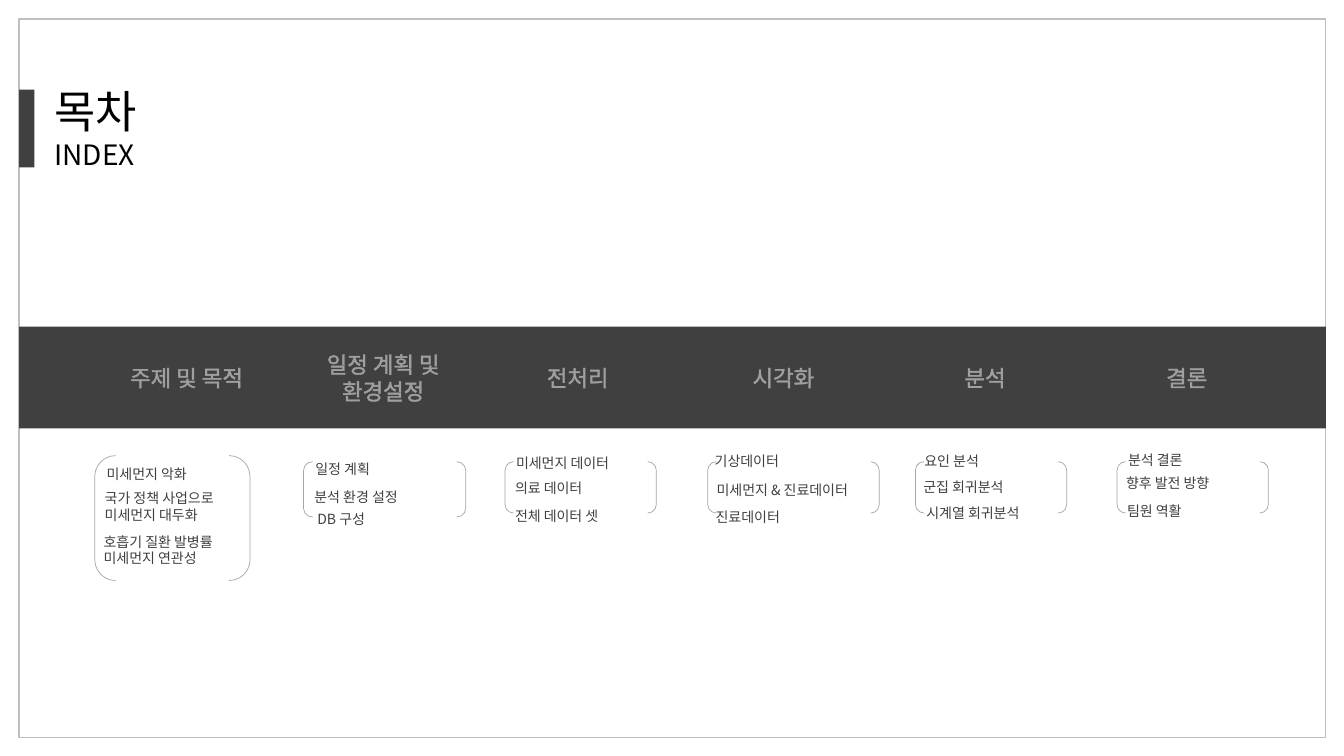
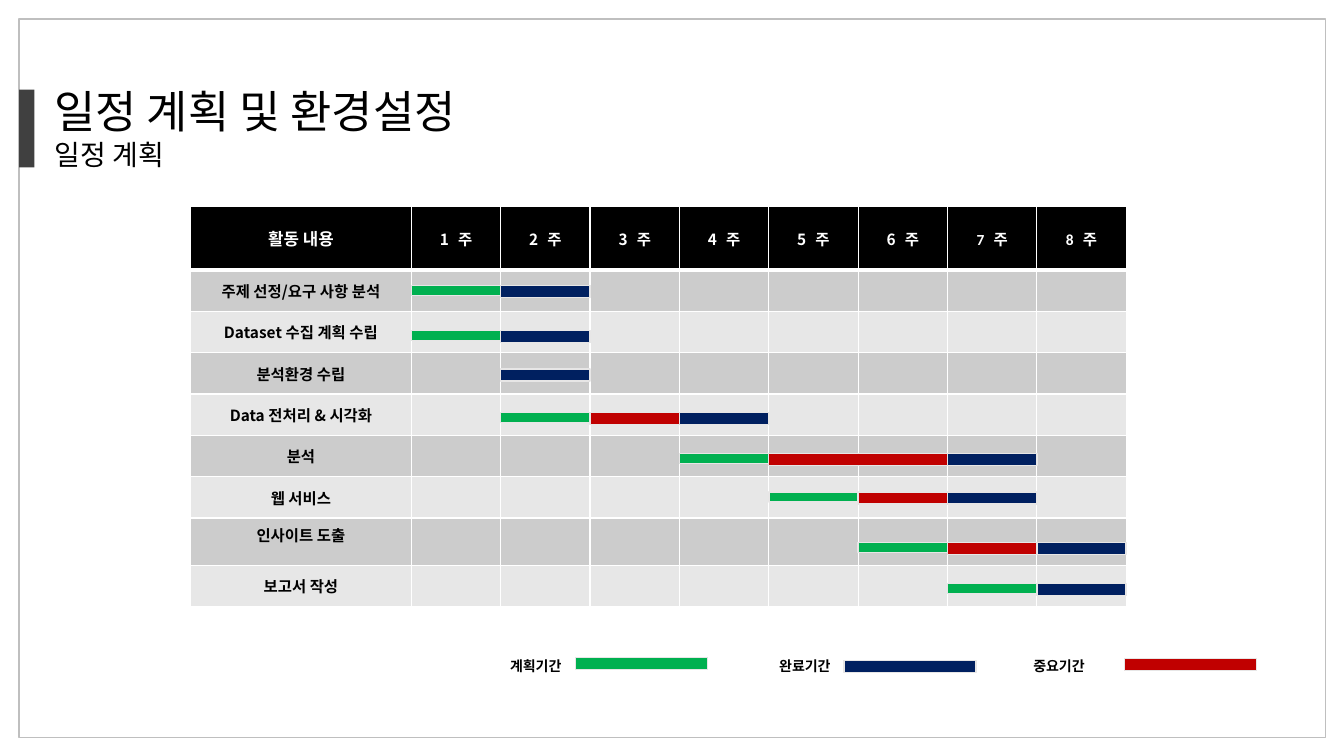
from dataclasses import dataclass

from lxml.etree import SubElement
from pptx import Presentation
from pptx.dml.color import RGBColor
from pptx.enum.shapes import MSO_SHAPE as Preset
from pptx.enum.text import MSO_ANCHOR as Anchor, MSO_AUTO_SIZE as AutoSize, PP_ALIGN as Align
from pptx.oxml.ns import qn
from pptx.util import Inches, Pt


@dataclass(frozen=True)
class Theme:
    font: str = "Noto Sans CJK KR"
    latin: str = "Calibri"
    black: str = "000000"
    white: str = "FFFFFF"
    dark: str = "404040"
    frame: str = "BFBFBF"
    bracket: str = "A6A6A6"
    bar_edge: str = "E7E6E6"
    odd_row: str = "CCCCCC"
    even_row: str = "E7E7E7"
    planned: str = "00B050"
    done: str = "002060"
    key: str = "C00000"
    title_size: int = 32
    subtitle_size: int = 20
    heading_size: int = 16
    corner_size: int = 12
    cell_size: int = 11
    note_size: int = 10


def rgb(value):
    return RGBColor.from_string(value)


def add_line(parent, tag, color, width, alpha=None):
    line = SubElement(parent, qn(tag), w=str(Pt(width)))
    paint = SubElement(SubElement(line, qn("a:solidFill")), qn("a:srgbClr"), val=color)
    if alpha:
        SubElement(paint, qn("a:alpha"), val=str(alpha * 1000))
    return line


class Deck:
    def __init__(self, theme):
        self.theme = theme
        self.presentation = Presentation()
        self.presentation.slide_width = Inches(13.33)
        self.presentation.slide_height = Inches(7.5)
        self.slide = None

    def new_slide(self, title, subtitle):
        t = self.theme
        self.slide = self.presentation.slides.add_slide(self.presentation.slide_layouts[5])
        self.shape((0.19, 0.19, 12.96, 7.13), line=t.frame)
        self.shape((0.19, 0.89, 0.15, 0.77), fill=t.dark)
        heading = self.slide.shapes.title
        heading.left, heading.top, heading.width, heading.height = map(Inches, (0.44, 0.78, 6, 0.98))
        frame = heading.text_frame
        frame.auto_size = AutoSize.NONE
        frame.vertical_anchor = Anchor.TOP
        self.run(frame.paragraphs[0], title, t.title_size, t.black, outline=50)
        self.run(frame.add_paragraph(), subtitle, t.subtitle_size, t.black, outline=50)

    def shape(self, box, preset=Preset.RECTANGLE, fill=None, line=None, width=1):
        shape = self.slide.shapes.add_shape(preset, *map(Inches, box))
        shape.shadow.inherit = False
        if fill:
            shape.fill.solid()
            shape.fill.fore_color.rgb = rgb(fill)
        else:
            shape.fill.background()
        if line:
            shape.line.color.rgb = rgb(line)
            shape.line.width = Pt(width)
        else:
            shape.line.fill.background()

    def run(self, paragraph, text, size, color, align=Align.LEFT, bold=False,
            font=None, outline=None, spacing=None):
        paragraph.alignment = align
        run = paragraph.add_run()
        run.text = text
        run.font.size = Pt(size)
        run.font.bold = bold
        run.font.color.rgb = rgb(color)
        run.font.name = font or self.theme.font
        properties = run.font._element
        SubElement(properties, qn("a:ea"), typeface=self.theme.font)
        if outline:
            properties.insert(0, add_line(properties, "a:ln", color, 0.75, outline))
        if spacing:
            properties.set("spc", str(spacing))

    def text(self, box, lines, size, color, anchor=Anchor.TOP, **style):
        frame = self.slide.shapes.add_textbox(*map(Inches, box)).text_frame
        frame.word_wrap = True
        frame.vertical_anchor = anchor
        for index, line in enumerate(lines):
            paragraph = frame.add_paragraph() if index else frame.paragraphs[0]
            self.run(paragraph, line, size, color, **style)

    def table(self, left, top, widths, heights):
        total = map(Inches, (left, top, sum(widths), sum(heights)))
        table = self.slide.shapes.add_table(len(heights), len(widths), *total).table
        for column, width in zip(table.columns, widths):
            column.width = Inches(width)
        for row, height in zip(table.rows, heights):
            row.height = Inches(height)
        return table

    def cell(self, cell, text, fill, bottom=1, anchor=Anchor.MIDDLE, **style):
        cell.vertical_anchor = anchor
        cell.margin_left = cell.margin_right = Inches(0.13)
        cell.margin_top = cell.margin_bottom = Inches(0.05)
        properties = cell._tc.get_or_add_tcPr()
        for side, width in zip("LRTB", (1, 1, 1, bottom)):
            add_line(properties, f"a:ln{side}", self.theme.white, width)
        cell.fill.solid()
        cell.fill.fore_color.rgb = rgb(fill)
        paragraph = cell.text_frame.paragraphs[0]
        if text:
            self.run(paragraph, text, align=Align.CENTER, bold=True, **style)
        else:
            paragraph.font.size = Pt(self.theme.cell_size)


SECTIONS = [
    ("주제 및 목적", 1.85, (0.94, 4.52, 1.54, 1.24), [
        (0.96, 4.57, ["미세먼지 악화"]),
        (0.94, 4.81, ["국가 정책 사업으로", "미세먼지 대두화"]),
        (0.93, 5.24, ["호흡기 질환 발병률", "미세먼지 연관성"])]),
    ("일정 계획 및 환경설정", 3.8, (3.01, 4.58, 1.61, 0.55), [
        (3.03, 4.52, ["일정 계획"]),
        (3.02, 4.8, ["분석 환경 설정"]),
        (3.05, 5.02, ["DB 구성"])]),
    ("전처리", 5.73, (5.01, 4.58, 1.5, 0.51), [
        (5.02, 4.46, ["미세먼지 데이터"]),
        (5.01, 4.71, ["의료 데이터"]),
        (5.01, 4.99, ["전체 데이터 셋"])]),
    ("시각화", 7.77, (7.02, 4.58, 1.7, 0.51), [
        (6.99, 4.44, ["기상데이터"]),
        (7.01, 4.73, ["미세먼지 & 진료데이터"]),
        (7, 5, ["진료데이터"])]),
    ("분석", 9.77, (9.08, 4.58, 1.5, 0.51), [
        (9.07, 4.44, ["요인 분석"]),
        (9.06, 4.7, ["군집 회귀분석"]),
        (9.09, 4.96, ["시계열 회귀분석"])]),
    ("결론", 11.77, (11.08, 4.58, 1.5, 0.51), [
        (11.09, 4.43, ["분석 결론"]),
        (11.07, 4.66, ["향후 발전 방향"]),
        (11.08, 4.94, ["팀원 역활"])]),
]

ACTIVITIES = [
    ("주제 선정/요구 사항 분석", 2.83, [("planned", 1, 1), ("done", 2, 1)]),
    ("Dataset 수집 계획 수립", 3.28, [("planned", 1, 1), ("done", 2, 1)]),
    ("분석환경 수립", 3.66, [("done", 2, 1)]),
    ("Data 전처리 & 시각화", 4.09, [("planned", 2, 1), ("key", 3, 1), ("done", 4, 1)]),
    ("분석", 4.5, [("planned", 4, 1), ("key", 5, 2), ("done", 7, 1)]),
    ("웹 서비스", 4.88, [("planned", 5, 1), ("key", 6, 1), ("done", 7, 1)]),
    ("인사이트 도출", 5.38, [("planned", 6, 1), ("key", 7, 1), ("done", 8, 1)]),
    ("보고서 작성", 5.79, [("planned", 7, 1), ("done", 8, 1)]),
]

LEGEND = [
    ("계획기간", 4.96, "planned", 5.71, 6.52),
    ("완료기간", 7.63, "done", 8.37, 6.55),
    ("중요기간", 10.15, "key", 11.15, 6.53),
]


def build_index(deck):
    t = deck.theme
    deck.new_slide("목차", "INDEX")
    band_top, band_height, heading_width = 3.24, 1.01, 1.62
    deck.shape((0.19, band_top, 12.96, band_height), fill=t.dark)
    for heading, center, bracket, notes in SECTIONS:
        deck.text((center - heading_width / 2, band_top, heading_width, band_height), [heading],
                  t.heading_size, t.white, Anchor.MIDDLE, align=Align.CENTER, outline=50)
        deck.shape(bracket, Preset.DOUBLE_BRACKET, line=t.bracket, width=0.5)
        for left, top, lines in notes:
            deck.text((left, top, 1.8, 0.1 + 0.17 * len(lines)), lines,
                      t.note_size, t.dark, outline=30)


def build_schedule(deck):
    t = deck.theme
    deck.new_slide("일정 계획 및 환경설정", "일정 계획")
    left, label_width, weeks = 1.89, 2.19, 8
    week_width = (9.28 - label_width) / weeks
    heights = [0.63] + [0.47 if name == "인사이트 도출" else 0.41 for name, _, _ in ACTIVITIES]
    table = deck.table(left, 2.05, [label_width] + [week_width] * weeks, heights)
    deck.cell(table.cell(0, 0), "활동 내용", t.black, 3, size=t.corner_size, color=t.white)
    for week in range(1, weeks + 1):
        deck.cell(table.cell(0, week), f"{week} 주", t.black, 3, size=t.cell_size,
                  color=t.white, spacing=200, font=t.latin if week > 6 else None)

    for row, (name, bar_top, bars) in enumerate(ACTIVITIES, 1):
        fill = t.odd_row if row % 2 else t.even_row
        anchor = Anchor.TOP if name == "인사이트 도출" else Anchor.MIDDLE
        deck.cell(table.cell(row, 0), name, fill, anchor=anchor, size=t.cell_size, color=t.black)
        for week in range(1, weeks + 1):
            deck.cell(table.cell(row, week), "", fill)
        for kind, start, length in bars:
            bar_left = left + label_width + (start - 1) * week_width
            deck.shape((bar_left, bar_top, length * week_width, 0.1 if kind == "planned" else 0.12),
                       fill=getattr(t, kind), line=t.bar_edge)

    for label, label_left, kind, bar_left, bar_top in LEGEND:
        deck.text((label_left, 6.47, 1.15, 0.27), [label], t.note_size, t.black,
                  bold=True, font=t.latin)
        deck.shape((bar_left, bar_top, 1.31, 0.12), fill=getattr(t, kind), line=t.bar_edge)


def main():
    deck = Deck(Theme())
    build_index(deck)
    build_schedule(deck)
    deck.presentation.save("out.pptx")


if __name__ == "__main__":
    main()
